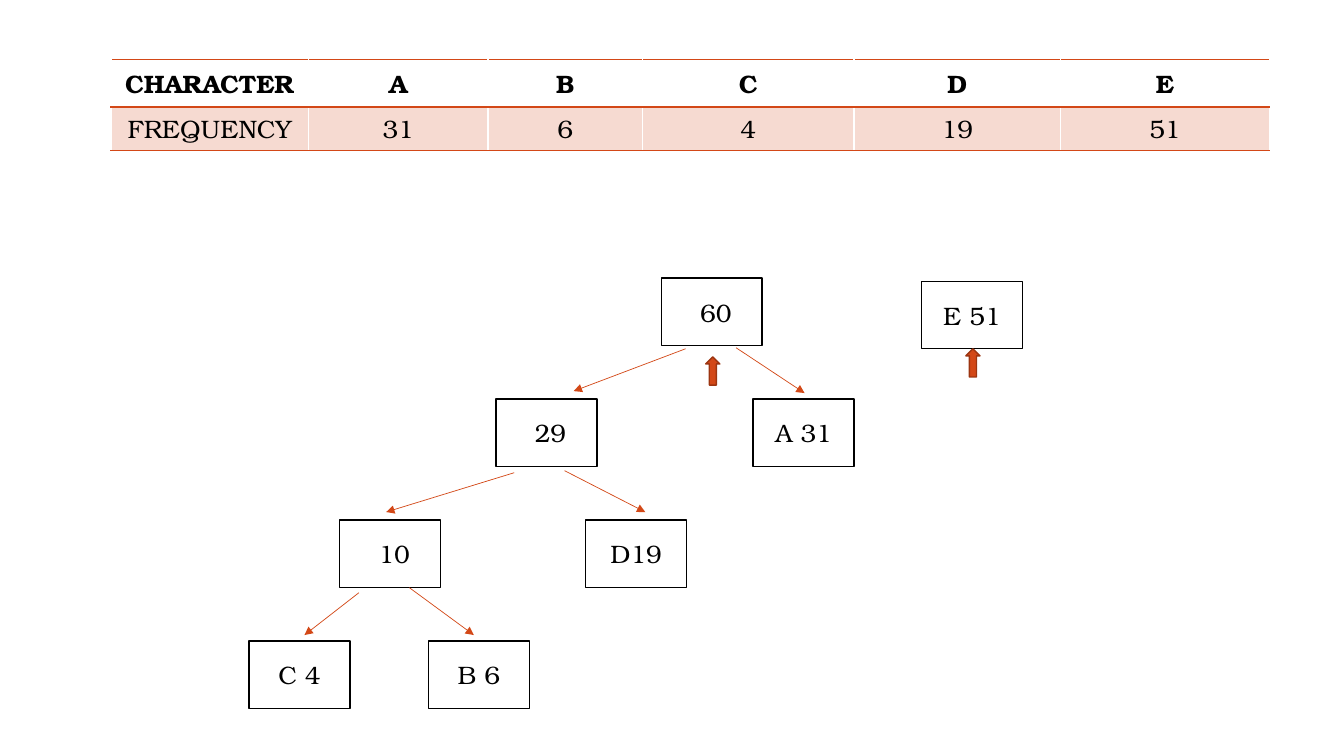
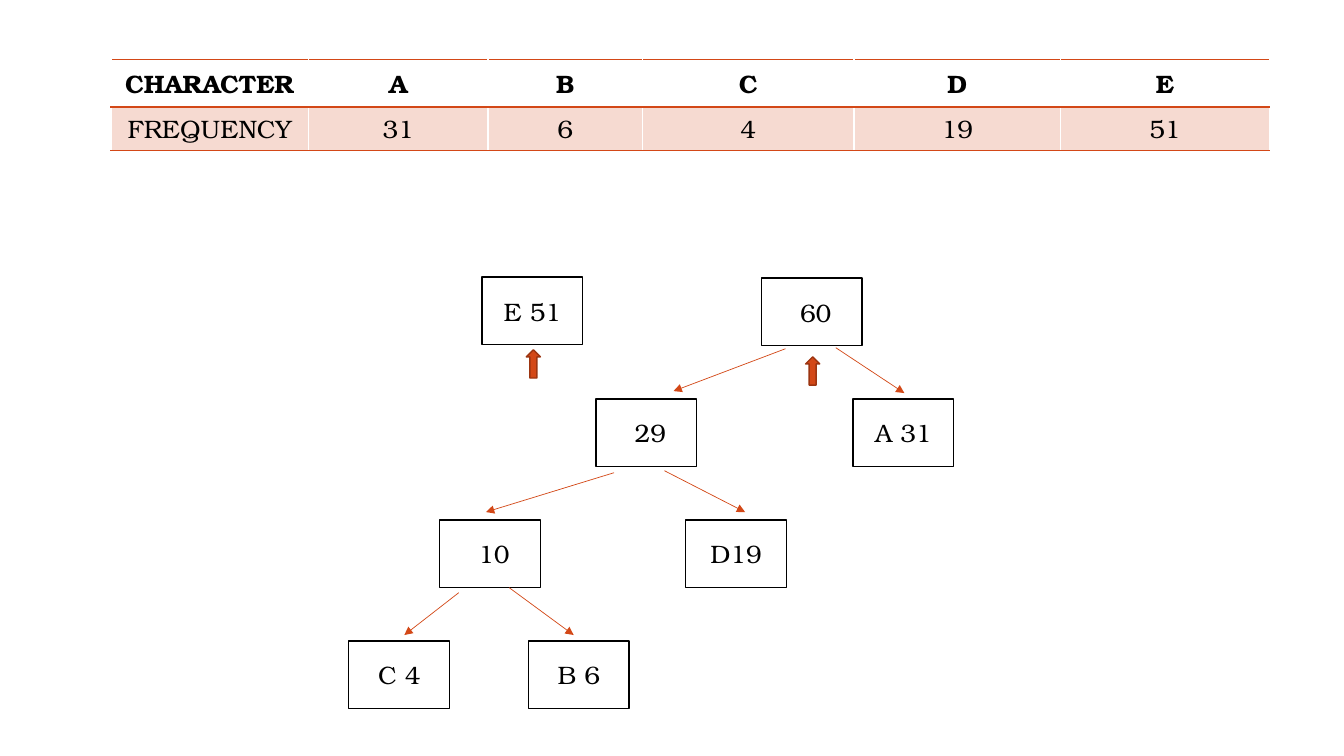
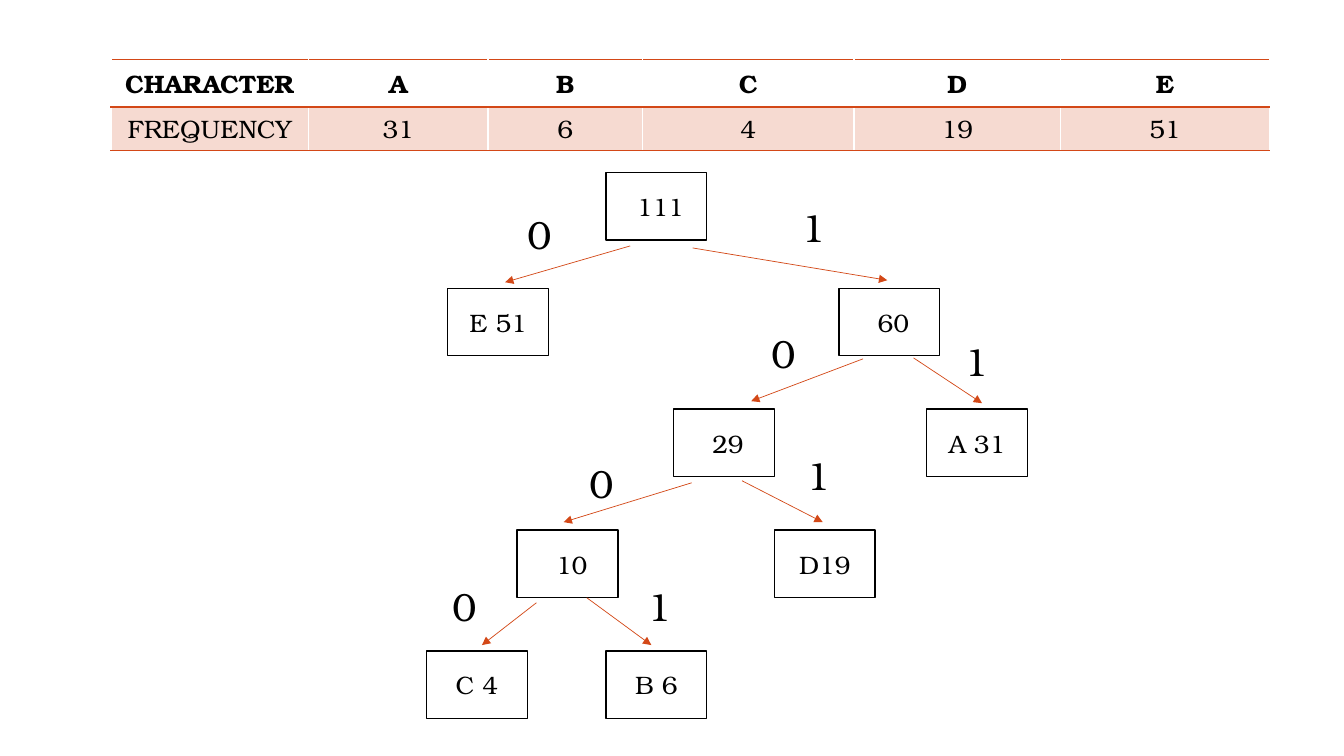
from dataclasses import dataclass

from lxml.etree import SubElement
from pptx import Presentation
from pptx.dml.color import RGBColor
from pptx.enum.shapes import MSO_CONNECTOR as Connector, MSO_SHAPE as Preset
from pptx.enum.text import MSO_ANCHOR as Anchor, PP_ALIGN as Align
from pptx.oxml.ns import qn
from pptx.util import Inches, Pt

BLACK = RGBColor(0x00, 0x00, 0x00)
WHITE = RGBColor(0xFF, 0xFF, 0xFF)
ORANGE = RGBColor(0xD3, 0x48, 0x17)
RUST = RGBColor(0x9C, 0x35, 0x11)
BLUSH = RGBColor(0xF6, 0xDA, 0xD1)
FONT = "TeX Gyre Bonum"

GRID = Inches(1)
SLIDE_SIZE = (13.33, 7.5)
NODE_SIZE = (1, 0.67)
MARKER_SIZE = (0.14, 0.28)
BIT_SIZE = (1.05, 0.57)
LEVEL = 1.2
TOP_LEVEL = 1.15

TABLE_AT = (1.1, 0.59)
TABLE_COLUMNS = (1.96, 1.78, 1.53, 2.1, 2.05, 2.07)
TABLE_ROWS = (0.47, 0.43)
FREQUENCIES = (
    ("CHARACTER", "A", "B", "C", "D", "E"),
    ("FREQUENCY", "31", "6", "4", "19", "51"),
)


@dataclass
class Branch:
    """A link to a child; every place counts from the parent's corner."""
    child: "Node"
    step: tuple
    start: tuple
    end: tuple
    bit_at: tuple


@dataclass
class Node:
    """A box of the tree with its left and right branches."""
    text: str
    branches: tuple = ()


def units(*lengths):
    """Turn grid columns and rows into slide lengths."""
    return [int(length * GRID) for length in lengths]


def shifted(place, offset):
    """Move a place on the grid by an offset."""
    return place[0] + offset[0], place[1] + offset[1]


def write(frame, text, size=18, bold=False, anchor=Anchor.MIDDLE):
    """Write one centred paragraph in the deck's font."""
    frame.word_wrap = True
    frame.vertical_anchor = anchor
    paragraph = frame.paragraphs[0]
    paragraph.alignment = Align.CENTER
    run = paragraph.add_run()
    run.text = text
    run.font.name = FONT
    run.font.size = Pt(size)
    run.font.bold = bold
    run.font.color.rgb = BLACK


def add_preset(slide, preset, place, size, fill, line):
    """Add a flat preset shape."""
    shape = slide.shapes.add_shape(preset, *units(*place, *size))
    shape.shadow.inherit = False
    shape.fill.solid()
    shape.fill.fore_color.rgb = fill
    shape.line.color.rgb = line
    shape.line.width = Pt(1)
    return shape


def add_node(slide, text, place):
    """Add one box of the tree."""
    shape = add_preset(slide, Preset.FLOWCHART_PROCESS, place, NODE_SIZE, WHITE, BLACK)
    write(shape.text_frame, text)


def add_marker(slide, node_at, drop):
    """Add an up arrow below a box."""
    place = shifted(node_at, (0.44, drop))
    add_preset(slide, Preset.UP_ARROW, place, MARKER_SIZE, ORANGE, RUST)


def add_arrow(slide, start, end):
    """Add a thin arrow between two places."""
    arrow = slide.shapes.add_connector(Connector.STRAIGHT, *units(*start, *end))
    arrow.line.color.rgb = ORANGE
    arrow.line.width = Pt(0.5)
    properties = arrow.element.spPr
    SubElement(properties.find(qn("a:ln")), qn("a:tailEnd"), type="triangle")
    SubElement(properties, qn("a:effectLst"))


def add_bit(slide, text, place):
    """Add the code digit of a branch."""
    box = slide.shapes.add_textbox(*units(*place, *BIT_SIZE))
    write(box.text_frame, text, size=28, anchor=Anchor.TOP)


def add_tree(slide, node, place, coded=False):
    """Draw a node and all that hangs below it."""
    add_node(slide, node.text, place)
    for bit, branch in enumerate(node.branches):
        add_arrow(slide, shifted(place, branch.start), shifted(place, branch.end))
        add_tree(slide, branch.child, shifted(place, branch.step), coded)
        if coded:
            add_bit(slide, str(bit), shifted(place, branch.bit_at))


def tree_of_sixty(a_step=0.91, d_step=0.89):
    """Build the tree whose root weighs 60."""
    ten = Node(" 10", (
        Branch(Node("C 4"), (-0.9, LEVEL), (0.19, 0.72), (-0.35, 1.14), (-1.05, 0.47)),
        Branch(Node("B 6"), (0.88, LEVEL), (0.69, 0.67), (1.33, 1.14), (0.89, 0.47)),
    ))
    twenty_nine = Node(" 29", (
        Branch(ten, (-1.55, LEVEL), (0.18, 0.73), (-1.09, 1.12), (-1.24, 0.45)),
        Branch(Node("D19"), (d_step, LEVEL), (0.68, 0.71), (1.48, 1.12), (0.91, 0.37)),
    ))
    return Node(" 60", (
        Branch(twenty_nine, (-1.64, LEVEL), (0.24, 0.7), (-0.87, 1.12), (-1.07, 0.36)),
        Branch(Node("A 31"), (a_step, LEVEL), (0.74, 0.69), (1.42, 1.14), (0.84, 0.44)),
    ))


def full_tree():
    """Build the finished tree whose root weighs 111."""
    sixty = tree_of_sixty(a_step=0.87, d_step=1)
    return Node(" 111", (
        Branch(Node("E 51"), (-1.57, TOP_LEVEL), (0.24, 0.73), (-1, 1.09), (-1.18, 0.33)),
        Branch(sixty, (2.31, TOP_LEVEL), (0.86, 0.75), (2.79, 1.07), (1.53, 0.26)),
    ))


def add_border(cell, side, width):
    """Rule one side of a table cell."""
    properties = cell._tc.get_or_add_tcPr()
    line = SubElement(properties, qn(f"a:{side}"), w=str(Pt(width)))
    fill = SubElement(line, qn("a:solidFill"))
    SubElement(fill, qn("a:srgbClr"), val=str(ORANGE))


def add_frequency_table(slide):
    """Add the table of characters and frequencies."""
    size = (sum(TABLE_COLUMNS), sum(TABLE_ROWS))
    table = slide.shapes.add_table(
        len(TABLE_ROWS), len(TABLE_COLUMNS), *units(*TABLE_AT, *size)).table
    table.first_row = table.horz_banding = False
    for column, width in zip(table.columns, units(*TABLE_COLUMNS)):
        column.width = width
    for row, height in zip(table.rows, units(*TABLE_ROWS)):
        row.height = height
    for row_index, texts in enumerate(FREQUENCIES):
        header = row_index == 0
        for column_index, text in enumerate(texts):
            cell = table.cell(row_index, column_index)
            write(cell.text_frame, text, bold=header)
            cell.vertical_anchor = Anchor.MIDDLE
            add_border(cell, "lnT", 1.5)
            add_border(cell, "lnB", 1.5 if header else 1)
            cell.fill.solid()
            cell.fill.fore_color.rgb = WHITE if header else BLUSH


def add_table_slide(presentation):
    """Add a blank slide headed by the frequency table."""
    slide = presentation.slides.add_slide(presentation.slide_layouts[6])
    add_frequency_table(slide)
    return slide


def add_merge_slide(presentation, sixty_at, leaf_at, leaf_drop):
    """Add a slide with the two roots that merge next."""
    slide = add_table_slide(presentation)
    add_tree(slide, tree_of_sixty(), sixty_at)
    add_node(slide, "E 51", leaf_at)
    add_marker(slide, sixty_at, 0.78)
    add_marker(slide, leaf_at, leaf_drop)


def add_code_slide(presentation):
    """Add a slide with the finished tree and its code digits."""
    add_tree(add_table_slide(presentation), full_tree(), (6.01, 1.71), coded=True)


def main():
    """Build and save the deck."""
    presentation = Presentation()
    presentation.slide_width, presentation.slide_height = units(*SLIDE_SIZE)
    add_merge_slide(presentation, (6.56, 2.76), (9.14, 2.79), 0.67)
    add_merge_slide(presentation, (7.55, 2.76), (4.78, 2.75), 0.72)
    add_code_slide(presentation)
    presentation.save("out.pptx")


if __name__ == "__main__":
    main()
